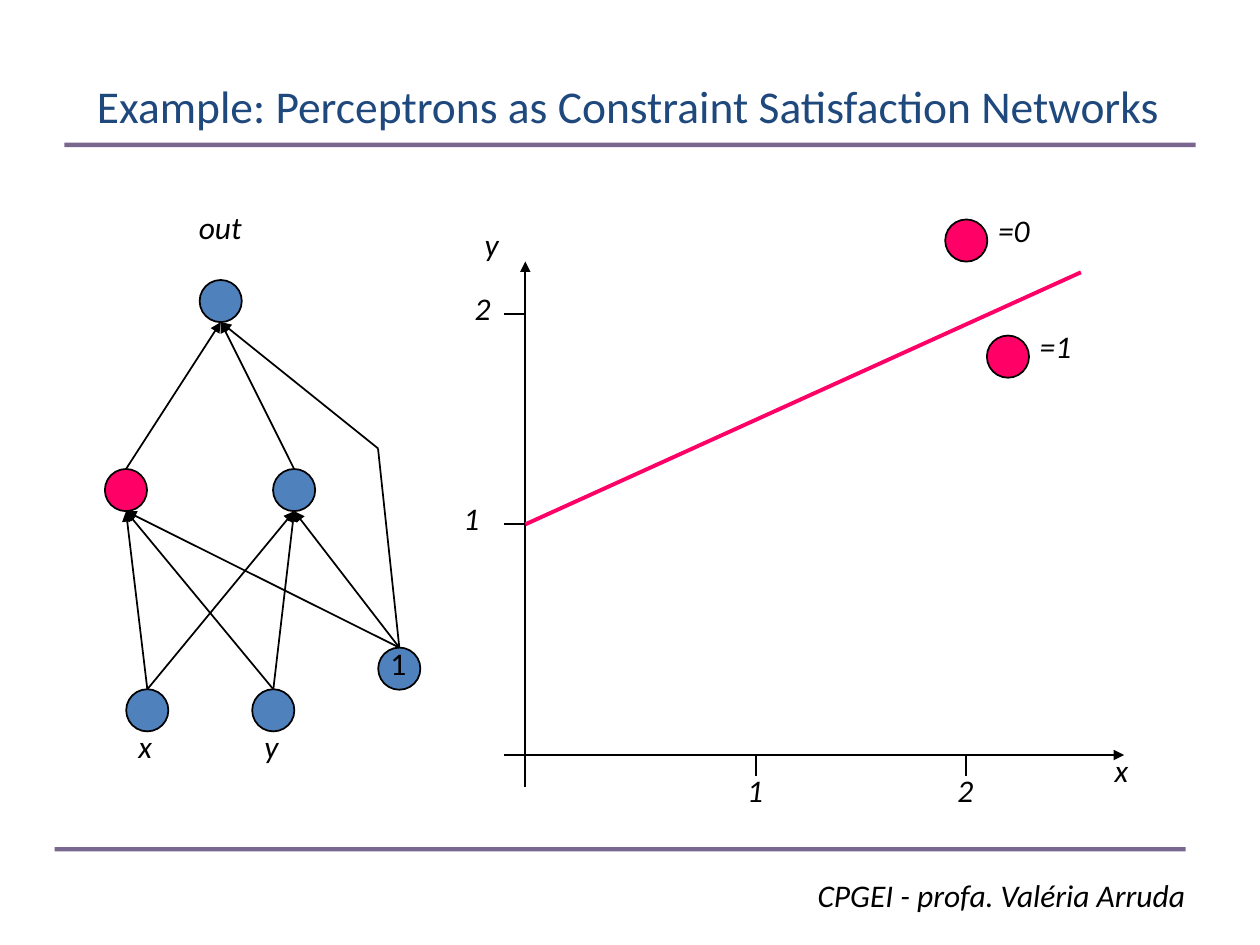
from collections import namedtuple
from dataclasses import dataclass

from lxml import etree
from pptx import Presentation
from pptx.dml.color import RGBColor
from pptx.enum import shapes, text
from pptx.oxml.ns import qn
from pptx.util import Cm, Pt

Box = namedtuple("Box", "left top width height")


@dataclass(frozen=True)
class Theme:
    font: str = "Calibri"
    title_size: float = 26
    text_size: float = 18
    ink: str = "000000"
    title: str = "1F497D"
    rule: str = "604A7B"
    rule_opacity: int = 83
    unit: str = "4F81BD"
    highlight: str = "FF0066"
    thin: float = 1
    boundary: float = 2.25
    thick: float = 2.5


THEME = Theme()
NODE = 0.85
RADIUS = NODE / 2


def color(value):
    return RGBColor.from_string(value)


def set_font(para, size, ink, italic=False):
    para.font.name = THEME.font
    para.font.size = Pt(size)
    para.font.color.rgb = color(ink)
    para.font.italic = italic


def add_line(page, box, start, end, ink=THEME.ink, width=THEME.thin,
             arrow=False, opacity=None):
    """Draw a line between two points given relative to the box."""
    line = page.shapes.add_connector(
        shapes.MSO_CONNECTOR.STRAIGHT,
        Cm(box.left + start[0]), Cm(box.top + start[1]),
        Cm(box.left + end[0]), Cm(box.top + end[1]))
    line.line.color.rgb = color(ink)
    line.line.width = Pt(width)
    outline = line.line._get_or_add_ln()
    if opacity:
        tint = outline.find(".//" + qn("a:srgbClr"))
        etree.SubElement(tint, qn("a:alpha")).set("val", str(opacity * 1000))
    if arrow:
        etree.SubElement(outline, qn("a:tailEnd")).set("type", "triangle")
    etree.SubElement(line._element.spPr, qn("a:effectLst"))


def add_node(page, box, center, fill=THEME.unit):
    node = page.shapes.add_shape(
        shapes.MSO_SHAPE.OVAL,
        Cm(box.left + center[0] - RADIUS), Cm(box.top + center[1] - RADIUS),
        Cm(NODE), Cm(NODE))
    node.shadow.inherit = False
    node.fill.solid()
    node.fill.fore_color.rgb = color(fill)
    node.line.color.rgb = color(THEME.ink)
    node.line.width = Pt(THEME.thin)


def add_label(page, box, words, at, width=0.92, height=1.27, italic=True,
              align=text.PP_ALIGN.LEFT):
    label = page.shapes.add_textbox(
        Cm(box.left + at[0]), Cm(box.top + at[1]), Cm(width), Cm(height))
    label.text_frame.word_wrap = False
    label.text_frame.auto_size = text.MSO_AUTO_SIZE.SHAPE_TO_FIT_TEXT
    para = label.text_frame.paragraphs[0]
    para.text = words
    para.alignment = align
    set_font(para, THEME.text_size, THEME.ink, italic)


def add_heading(page, box):
    title = page.shapes.title
    title.left, title.top, title.width, title.height = map(Cm, box)
    title.text_frame.word_wrap = True
    title.text_frame.vertical_anchor = text.MSO_ANCHOR.MIDDLE
    para = title.text_frame.paragraphs[0]
    para.text = "Example: Perceptrons as Constraint Satisfaction Networks"
    para.alignment = text.PP_ALIGN.LEFT
    set_font(para, THEME.title_size, THEME.title)


def add_rule(page, box):
    add_line(page, box, (0, 0), (box.width, 0), THEME.rule, THEME.thick,
             opacity=THEME.rule_opacity)


def add_footer(page, box):
    add_label(page, box, "CPGEI - profa. Valéria Arruda", (0, 0),
              box.width, box.height, align=text.PP_ALIGN.RIGHT)


def add_network(page, box):
    centers = {
        "x": (0.85, 10.26), "y": (3.39, 10.26), "bias": (5.93, 9.42),
        "line unit": (0.42, 5.82), "hidden unit": (3.81, 5.82),
        "out": (2.33, 2.01),
    }
    bend = (5.5, 4.98)

    def top_of(name):
        return centers[name][0], centers[name][1] - RADIUS

    def bottom_of(name):
        return centers[name][0], centers[name][1] + RADIUS

    for name, center in centers.items():
        add_node(page, box, center,
                 THEME.highlight if name == "line unit" else THEME.unit)
    for hidden in ("line unit", "hidden unit"):
        for source in ("x", "y", "bias"):
            add_line(page, box, top_of(source), bottom_of(hidden), arrow=True)
        add_line(page, box, top_of(hidden), bottom_of("out"), arrow=True)
    add_line(page, box, top_of("bias"), bend)
    add_line(page, box, bend, bottom_of("out"), arrow=True)

    for name in ("x", "y"):
        add_label(page, box, name,
                  (centers[name][0] - 0.43, centers[name][1] + 0.21))
    add_label(page, box, "1", (5.5, 8.79), italic=False)
    add_label(page, box, "out", (1.64, 0), width=1.6)


def add_plot(page, box):
    """Draw the axes, the decision line and the two output regions."""
    x0, y0 = 1.49, 11.1
    tick = 0.42

    def at(x, y):
        """Turn a distance right of and above the origin into a box point."""
        return x0 + x, y0 - y

    add_line(page, box, at(-tick, 0), at(12.07, 0), arrow=True)
    add_line(page, box, at(0, -0.64), at(0, 9.95), arrow=True)
    add_label(page, box, "x", at(11.63, 0.2))
    add_label(page, box, "y", at(-1.07, 10.8))

    for words, step, left in (("1", 4.65, -1.5), ("2", 8.89, -1.27)):
        add_line(page, box, at(0, step), at(-tick, step))
        add_line(page, box, at(step, 0), at(step, -tick))
        add_label(page, box, words, at(left, step + 0.63))
        add_label(page, box, words, at(step - 0.43, -0.2))

    add_line(page, box, at(0, 4.65), at(11.2, 9.73),
             THEME.highlight, THEME.boundary)
    for words, x, y in (("=0", 8.89, 10.37), ("=1", 9.73, 8.03)):
        add_node(page, box, at(x, y), THEME.highlight)
        add_label(page, box, words, at(x + 0.39, y + 0.73), width=1.5)


def main():
    deck = Presentation()
    deck.slide_width, deck.slide_height = Cm(25.4), Cm(19.05)
    page = deck.slides.add_slide(deck.slide_layouts[5])
    add_rule(page, Box(1.3, 2.92, 22.8, 0))
    add_rule(page, Box(1.1, 17.12, 22.8, 0))
    add_footer(page, Box(16.0, 17.53, 8.15, 1.02))
    add_network(page, Box(2.12, 4.06, 6.4, 11.8))
    add_plot(page, Box(9.1, 4.12, 14.0, 12.6))
    add_heading(page, Box(1.7, 0.53, 22.5, 3.18))
    deck.save("out.pptx")


if __name__ == "__main__":
    main()
